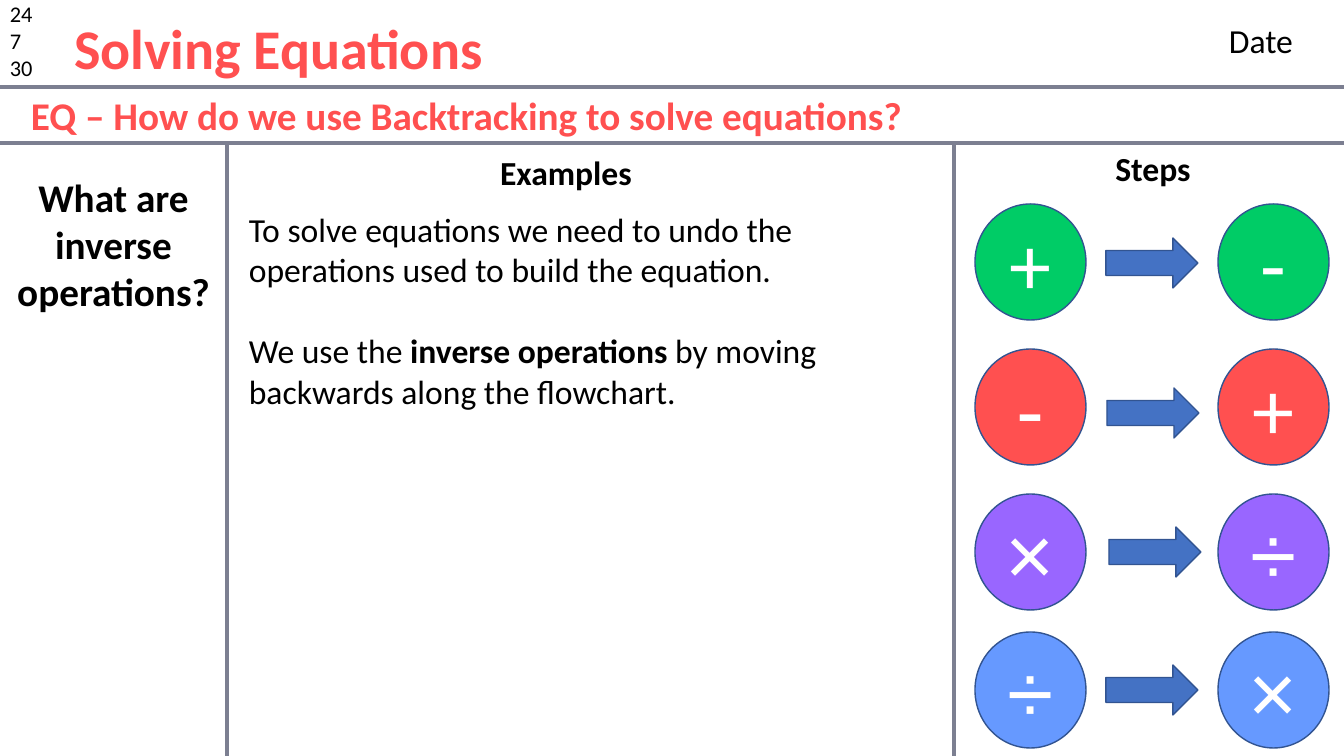
from lxml import etree
from pptx import Presentation
from pptx.dml.color import RGBColor
from pptx.enum.shapes import MSO_CONNECTOR, MSO_SHAPE
from pptx.enum.text import MSO_ANCHOR, MSO_AUTO_SIZE, PP_ALIGN
from pptx.oxml.ns import qn
from pptx.util import Pt

LEFT, MID = PP_ALIGN.LEFT, PP_ALIGN.CENTER
TOP, CENTRE = MSO_ANCHOR.TOP, MSO_ANCHOR.MIDDLE
OVAL, ARROW = MSO_SHAPE.OVAL, MSO_SHAPE.RIGHT_ARROW

BLACK = RGBColor(0, 0, 0)
WHITE = RGBColor(255, 255, 255)
RED = RGBColor(0xFF, 0x50, 0x50)
GREEN = RGBColor(0x00, 0xCC, 0x66)
PURPLE = RGBColor(0x99, 0x66, 0xFF)
SKY = RGBColor(0x66, 0x99, 0xFF)
BLUE = RGBColor(0x44, 0x72, 0xC4)
EDGE = RGBColor(0x32, 0x54, 0x91)
GREY = RGBColor(0x7C, 0x7F, 0x91)

# Content: a paragraph is a list of (words, bold) runs or a plain string
TITLE = "Solving Equations"
BOXES = [
    # box in px, paragraphs, format
    ((0, -5, 64, 92), ["24", "7", "30"], dict(size=16)),
    ((1219, 15, 102, 50), ["Date"], {}),
    ((0, 168, 227, 152), ["What are inverse operations?"],
     dict(size=28, bold=True, align=MID)),
    ((21, 86, 1169, 57), ["EQ – How do we use Backtracking to solve equations?"],
     dict(size=28, bold=True, color=RED)),
    ((239, 204, 706, 214),
     ["To solve equations we need to undo the operations used to build the equation.",
      [("We use the ", False), ("inverse operations ", True),
       ("by moving backwards along the flowchart.", False)]],
     dict(gap=29)),
    ((464, 147, 204, 50), ["Examples"], dict(bold=True, align=MID)),
    ((1051, 143, 204, 50), ["Steps"], dict(bold=True, align=MID)),
]
RULES = [(0, 87, 1344, 87), (0, 143, 1344, 143),
         (227, 143, 227, 756), (954, 143, 954, 756)]
PAIRS = [
    # sign, font, inverse, font, fill, circle top, arrow left, arrow top
    ("+", "Calibri", "-", "Calibri", GREEN, 204, 1106, 238),
    ("-", "Arial", "+", "Calibri", RED, 349, 1107, 388),
    ("×", "Arial", "÷", "Arial", PURPLE, 494, 1109, 527),
    ("÷", "Arial", "×", "Arial", SKY, 632, 1106, 665),
]
SIGN_X, INV_X = 975, 1218


def px(*vals):
    return [round(v * 914400 / 100.8) for v in vals]


def write(shape, paras, size=24, font="Calibri", color=BLACK, bold=False,
          align=LEFT, anchor=TOP, wrap=True, gap=0):
    frame = shape.text_frame
    frame.auto_size = MSO_AUTO_SIZE.NONE
    frame.word_wrap = wrap
    frame.vertical_anchor = anchor
    for i, text in enumerate(paras):
        para = frame.add_paragraph() if i else frame.paragraphs[0]
        para.alignment = align
        if i and gap:
            para.space_before = Pt(gap)
        for words, heavy in [(text, bold)] if isinstance(text, str) else text:
            run = para.add_run()
            run.text = words
            run.font.name = font
            run.font.size = Pt(size)
            run.font.bold = heavy
            run.font.color.rgb = color


def draw(kind, box, fill):
    shape = slide.shapes.add_shape(kind, *px(*box))
    shape.shadow.inherit = False
    shape.fill.solid()
    shape.fill.fore_color.rgb = fill
    shape.line.color.rgb = EDGE
    shape.line.width = Pt(1)
    return shape


deck = Presentation()
deck.slide_width, deck.slide_height = px(1344, 756)
slide = deck.slides.add_slide(deck.slide_layouts[5])

# Title
title = slide.shapes.title
title.left, title.top, title.width, title.height = px(64, 8, 447, 78)
write(title, [TITLE], size=40, color=RED, bold=True, wrap=False)

# Ruled lines
for ends in RULES:
    rule = slide.shapes.add_connector(MSO_CONNECTOR.STRAIGHT, *px(*ends))
    rule.line.color.rgb = GREY
    rule.line.width = Pt(2.25)
    etree.SubElement(rule.element.spPr, qn("a:effectLst"))

# Notes in the columns
for box, paras, form in BOXES:
    write(slide.shapes.add_textbox(*px(*box)), paras, **form)

# Each operation, an arrow, and its inverse
for sign, face, inv, inv_face, fill, top, tip_x, tip_y in PAIRS:
    for left, mark, font in ((SIGN_X, sign, face), (INV_X, inv, inv_face)):
        disc = draw(OVAL, (left, top, 111, 116), fill)
        write(disc, [mark], size=60, font=font, color=WHITE,
              align=MID, anchor=CENTRE)
    draw(ARROW, (tip_x, tip_y, 92, 50), BLUE)

deck.save("out.pptx")
